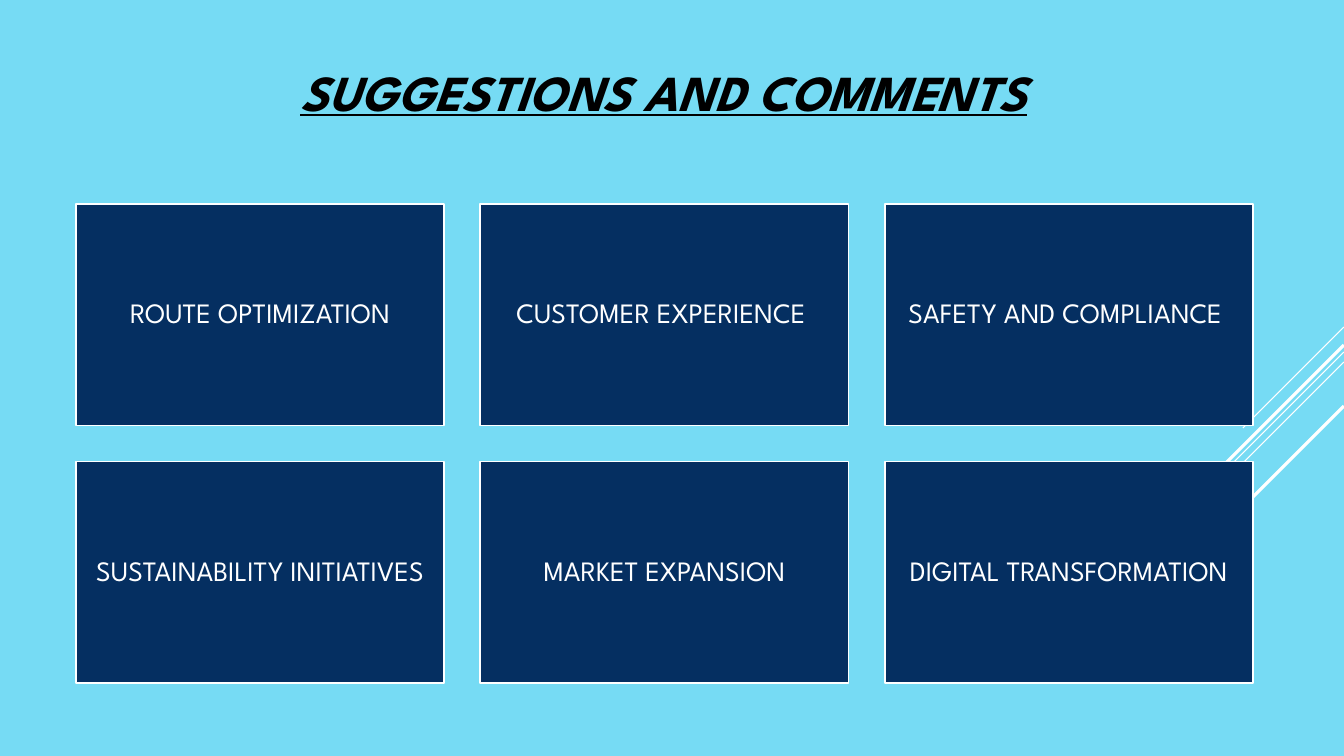
from dataclasses import dataclass
from lxml.etree import SubElement
from pptx import Presentation
from pptx.dml.color import RGBColor as RGB
from pptx.enum.shapes import MSO_CONNECTOR as Link, MSO_SHAPE as Shape
from pptx.enum.text import MSO_ANCHOR as Anchor, PP_ALIGN as Align
from pptx.oxml.ns import qn
from pptx.util import Pt

WIDE, HIGH = 1344, 756
SCALE = 12192000 / WIDE


@dataclass(frozen=True)
class Theme:
    sky: RGB = RGB(0x76, 0xDB, 0xF4)
    navy: RGB = RGB(0x05, 0x2F, 0x61)
    white: RGB = RGB(0xFF, 0xFF, 0xFF)
    black: RGB = RGB(0, 0, 0)
    font: str = "League Spartan"
    title: int = 36
    label: int = 20
    edge: float = 1.25
    thin: float = 0.75
    thick: float = 2.25


THEME = Theme()
TOPICS = [
    ["ROUTE OPTIMIZATION", "CUSTOMER EXPERIENCE ", "SAFETY AND COMPLIANCE "],
    ["SUSTAINABILITY INITIATIVES", "MARKET EXPANSION", "DIGITAL TRANSFORMATION"],
]
RAYS = [
    (0, 101, THEME.thin),
    (25, 329, THEME.thin),
    (35, 209, THEME.thin),
    (18, 193, THEME.thick),
    (79, 140, THEME.thick),
]


def px(*sizes):
    return [round(size * SCALE) for size in sizes]


def write(shape, text, size, color, anchor=Anchor.MIDDLE, pad=8, space=1.0,
          bold=False, slant=False, under=False):
    frame = shape.text_frame
    frame.word_wrap = True
    frame.vertical_anchor = anchor
    inset, = px(pad)
    frame.margin_left = frame.margin_right = inset
    frame.margin_top = frame.margin_bottom = inset
    para = frame.paragraphs[0]
    para.alignment = Align.CENTER
    para.line_spacing = space
    run = para.add_run()
    run.text = text
    font = run.font
    font.name, font.size, font.color.rgb = THEME.font, Pt(size), color
    font.bold, font.italic, font.underline = bold, slant, under


def draw_rays(slide, left, top, width, height):
    right = left + width
    for drop, reach, weight in RAYS:
        start = top + drop
        ray = slide.shapes.add_connector(
            Link.STRAIGHT, *px(right, start, right - reach, start + reach))
        ray.line.color.rgb = THEME.white
        ray.line.width = Pt(weight)
        SubElement(ray._element.spPr, qn("a:effectLst"))


def draw_title(slide, left, top, width, height):
    box = slide.shapes.add_textbox(*px(left, top, width, height))
    write(box, "SUGGESTIONS AND COMMENTS", THEME.title, THEME.black,
          anchor=Anchor.BOTTOM, pad=5, bold=True, slant=True, under=True)


def draw_card(slide, text, left, top, width, height):
    card = slide.shapes.add_shape(Shape.RECTANGLE, *px(left, top, width, height))
    card.shadow.inherit = False
    card.fill.solid()
    card.fill.fore_color.rgb = THEME.navy
    card.line.color.rgb = THEME.white
    card.line.width = Pt(THEME.edge)
    write(card, text, THEME.label, THEME.white, space=0.9)


def draw_grid(slide, left, top, width, height, gap=36):
    wide = (width - gap * (len(TOPICS[0]) - 1)) / len(TOPICS[0])
    high = (height - gap * (len(TOPICS) - 1)) / len(TOPICS)
    for row, topics in enumerate(TOPICS):
        for col, topic in enumerate(topics):
            draw_card(slide, topic, left + col * (wide + gap),
                      top + row * (high + gap), wide, high)


def main():
    deck = Presentation()
    deck.slide_width, deck.slide_height = px(WIDE, HIGH)
    slide = deck.slides.add_slide(deck.slide_layouts[6])
    fill = slide.background.fill
    fill.solid()
    fill.fore_color.rgb = THEME.sky
    draw_rays(slide, 1015, 327, 329, 354)
    draw_title(slide, 194, 22, 940, 105)
    draw_grid(slide, 76, 204, 1177, 479)
    deck.save("out.pptx")


if __name__ == "__main__":
    main()
